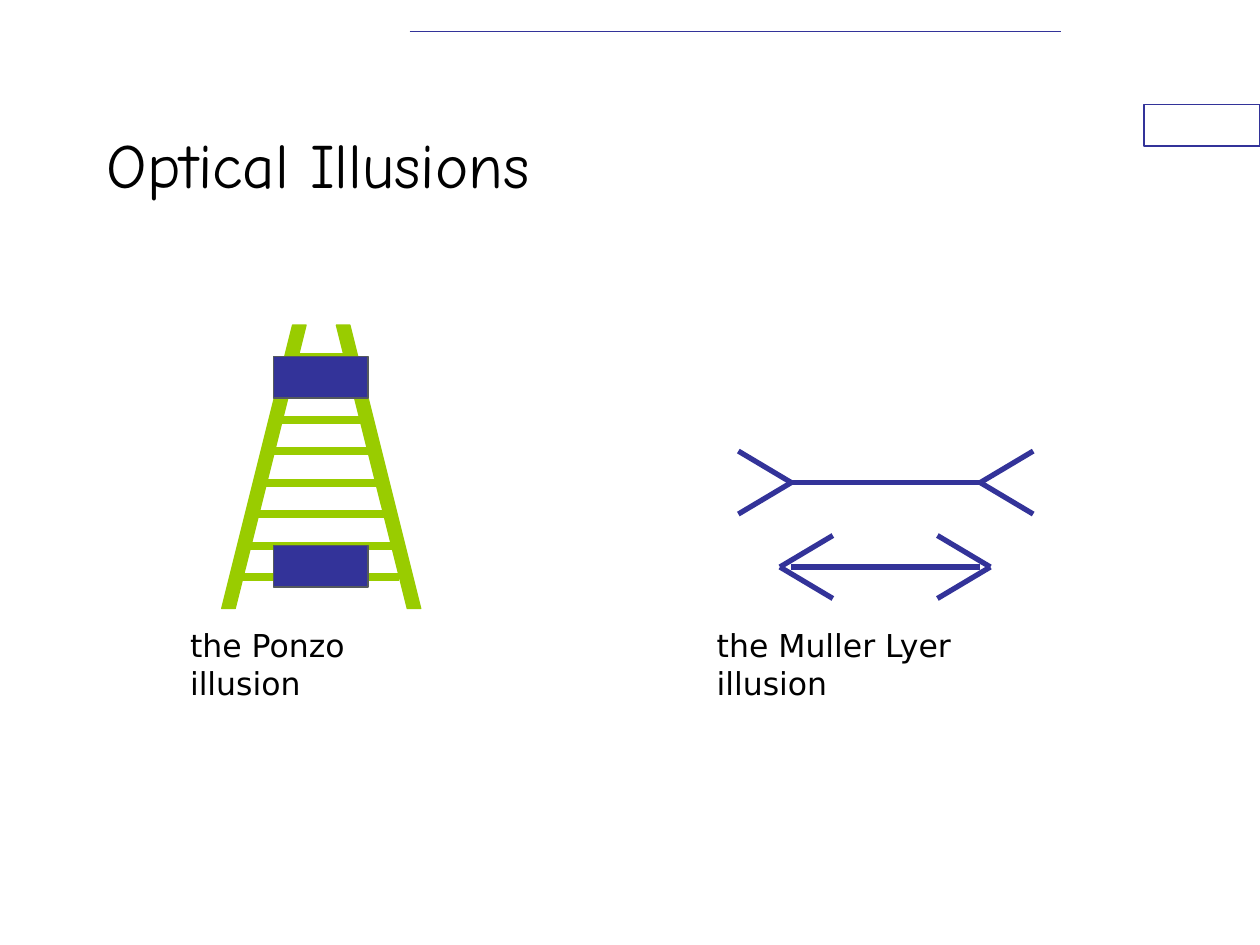
from pptx import Presentation
from pptx.dml.color import RGBColor
from pptx.enum.shapes import MSO_CONNECTOR, MSO_SHAPE
from pptx.enum.text import MSO_ANCHOR
from pptx.oxml.ns import qn
from pptx.util import Inches, Pt
from lxml.etree import SubElement

BLUE = "333399"
GREEN = "99CC00"
GREY = "555A5E"
WHITE = "FFFFFF"
BLACK = "000000"


def paint(color_format, color):
    color_format.rgb = RGBColor.from_string(color)


def add_line(page, start, end, color, width):
    line = page.shapes.add_connector(
        MSO_CONNECTOR.STRAIGHT, *[Inches(value) for value in (*start, *end)]
    )
    paint(line.line.color, color)
    line.line.width = Pt(width)
    SubElement(line._element.spPr, qn("a:effectLst"))


def add_block(page, kind, frame, fill, outline):
    block = page.shapes.add_shape(kind, *[Inches(value) for value in frame])
    block.shadow.inherit = False
    block.fill.solid()
    paint(block.fill.fore_color, fill)
    paint(block.line.color, outline)
    block.line.width = Pt(0.75)
    return block


def add_text(page, frame, text, font, size, anchor=MSO_ANCHOR.TOP):
    box = page.shapes.add_textbox(*[Inches(value) for value in frame])
    box.text_frame.word_wrap = True
    box.text_frame.vertical_anchor = anchor
    box.text_frame.text = text
    span = box.text_frame.paragraphs[0].runs[0]
    span.font.name = font
    span.font.size = Pt(size)
    paint(span.font.color, BLACK)


def add_rail(page, left, flipped):
    rail = add_block(page, MSO_SHAPE.PARALLELOGRAM, (left, 2.58, 0.67, 2.25), GREEN, GREEN)
    rail.adjustments[0] = 0.84
    if flipped:
        rail._element.spPr.xfrm.set("flipH", "1")


def add_ponzo(page):
    add_rail(page, 1.76, False)
    add_rail(page, 2.67, True)
    rungs = [
        (4.58, 1.84, 3.17),
        (4.33, 1.92, 3.17),
        (4.08, 2.01, 3.09),
        (3.83, 2.09, 3.01),
        (3.58, 2.17, 2.92),
        (3.33, 2.17, 2.92),
        (2.83, 2.34, 2.76),
    ]
    for y, left, right in rungs:
        add_line(page, (left, y), (right, y), GREEN, 4.5)
    for top in (4.33, 2.83):
        add_block(page, MSO_SHAPE.RECTANGLE, (2.17, top, 0.75, 0.33), BLUE, GREY)


def add_fins(page, x, y, reach):
    for rise in (-0.25, 0.25):
        add_line(page, (x, y), (x + reach, y + rise), BLUE, 3)


def add_muller_lyer(page):
    for y, left, right, reach in [(3.83, 6.28, 7.78, 0.42), (4.5, 6.19, 7.86, -0.42)]:
        add_fins(page, right, y, reach)
        add_fins(page, left, y, -reach)
        add_line(page, (6.28, y), (7.78, y), BLUE, 3)


def main():
    deck = Presentation()
    deck.slide_width = Inches(10)
    deck.slide_height = Inches(7.5)
    page = deck.slides.add_slide(deck.slide_layouts[6])

    add_block(page, MSO_SHAPE.RECTANGLE, (9.08, 0.83, 0.92, 0.33), WHITE, BLUE)
    add_line(page, (3.25, 0.25), (8.42, 0.25), BLUE, 1)
    add_text(page, (0.75, 0.67, 7.5, 1.25), "Optical Illusions", "Comic Neue", 36, MSO_ANCHOR.MIDDLE)
    add_ponzo(page)
    add_muller_lyer(page)
    add_text(page, (1.41, 4.92, 2.28, 0.4), "the Ponzo illusion", "DejaVu Sans", 18)
    add_text(page, (5.59, 4.92, 2.87, 0.4), "the Muller Lyer illusion", "DejaVu Sans", 18)

    deck.save("out.pptx")


if __name__ == "__main__":
    main()
